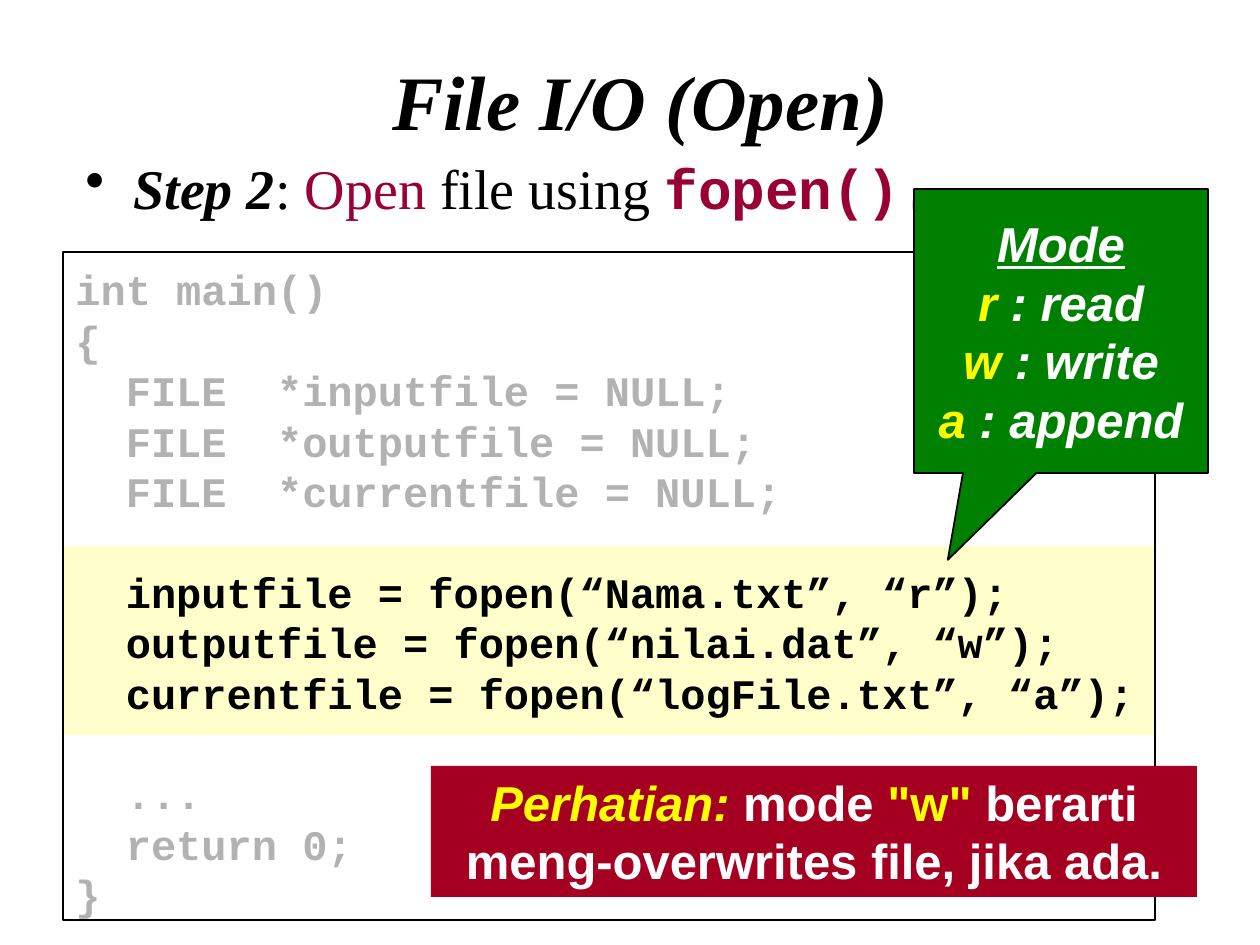
import pptx
import pptx.dml.color
import pptx.enum.shapes
import pptx.enum.text
import pptx.oxml
import pptx.util
import lxml.etree

PX = 914400 // 126
COLORS = {
    "black": "000000", "white": "FFFFFF", "gray": "B2B2B2", "cream": "FFFFCC",
    "wine": "990033", "green": "008000", "red": "A50021", "yellow": "FFFF00",
}
SHAPES = pptx.enum.shapes.MSO_SHAPE
ALIGN = pptx.enum.text.PP_ALIGN
ANCHOR = pptx.enum.text.MSO_ANCHOR

deck = pptx.Presentation()
deck.slide_width = pptx.util.Inches(10)
deck.slide_height = pptx.util.Inches(7.5)
page = deck.slides.add_slide(deck.slide_layouts[6])


def add_box(kind, left, top, width, height, fill=None, line=None, anchor=ANCHOR.TOP):
    box = page.shapes.add_shape(kind, left * PX, top * PX, width * PX, height * PX)
    box.shadow.inherit = False
    for paint, color in ((box.fill, fill), (box.line.fill, line)):
        if color:
            paint.solid()
            paint.fore_color.rgb = pptx.dml.color.RGBColor.from_string(COLORS[color])
        else:
            paint.background()
    if line:
        box.line.width = pptx.util.Pt(1)
    box.text_frame.word_wrap = True
    box.text_frame.vertical_anchor = anchor
    return box


def write_lines(frame, lines, size, font, align, bold=True, italic=False):
    """Write one paragraph per line; a span is (text, color, font overrides)."""
    for number, spans in enumerate(lines):
        para = frame.add_paragraph() if number else frame.paragraphs[0]
        para.alignment = align
        para.line_spacing = pptx.util.Pt(size * 1.2)
        for text, color, overrides in spans:
            span = para.add_run()
            span.text = text
            span.font.size = pptx.util.Pt(size)
            span.font.color.rgb = pptx.dml.color.RGBColor.from_string(COLORS[color])
            style = {"name": font, "bold": bold, "italic": italic, **overrides}
            for key, value in style.items():
                setattr(span.font, key, value)


# Highlight behind the fopen() calls
add_box(SHAPES.RECTANGLE, 63, 546, 1092, 189, fill="cream")

title = page.shapes.add_textbox(105 * PX, 21 * PX, 1071 * PX, 158 * PX)
title.text_frame.word_wrap = True
title.text_frame.vertical_anchor = ANCHOR.MIDDLE
write_lines(title.text_frame, [[("File I/O (Open)", "black", {})]],
            44, "Times New Roman", ALIGN.CENTER, italic=True)

step = page.shapes.add_textbox(73 * PX, 147 * PX, 1124 * PX, 84 * PX)
step.text_frame.word_wrap = True
properties = step.text_frame.paragraphs[0]._p.get_or_add_pPr()
properties.set("marL", str(48 * PX))
properties.set("indent", str(-48 * PX))
bullet = lxml.etree.SubElement(properties, pptx.oxml.ns.qn("a:buChar"))
bullet.set("char", "•")
code_style = {"name": "Courier New", "bold": True}
write_lines(step.text_frame, [[
    ("Step 2", "black", {"bold": True, "italic": True}),
    (": ", "black", {}),
    ("Open ", "wine", {}),
    ("file using ", "black", {}),
    ("fopen()", "wine", code_style),
    (".", "black", code_style),
]], 32, "Times New Roman", ALIGN.LEFT, bold=False)

code = """int main()
{
  FILE  *inputfile = NULL;
  FILE  *outputfile = NULL;
  FILE  *currentfile = NULL;

  inputfile = fopen(“Nama.txt”, “r”);
  outputfile = fopen(“nilai.dat”, “w”);
  currentfile = fopen(“logFile.txt”, “a”);

  ...
  return 0;
}"""
listing = add_box(SHAPES.RECTANGLE, 63, 252, 1092, 668, line="black")
listing.text_frame.margin_top = 12 * PX
code_lines = [
    [(line, "black" if "fopen" in line else "gray", {})] if line else []
    for line in code.split("\n")
]
write_lines(listing.text_frame, code_lines, 24, "Courier New", ALIGN.LEFT)

modes = add_box(SHAPES.RECTANGULAR_CALLOUT, 914, 189, 294, 284,
                fill="green", line="black", anchor=ANCHOR.MIDDLE)
modes.adjustments[0] = -0.385
modes.adjustments[1] = 0.806
modes.text_frame.word_wrap = False
mode_lines = [[("Mode", "white", {"underline": True})]]
for letter, meaning in (("r", "read"), ("w", "write"), ("a", "append")):
    mode_lines.append([(letter, "yellow", {}), (f" : {meaning}", "white", {})])
write_lines(modes.text_frame, mode_lines, 28, "Arial", ALIGN.CENTER, italic=True)

warning = add_box(SHAPES.RECTANGLE, 431, 766, 766, 131, fill="red")
write_lines(warning.text_frame, [[
    ("Perhatian:", "yellow", {"italic": True}),
    (" mode ", "white", {}),
    ('"w"', "yellow", {}),
    (" berarti meng-overwrites file, jika ada.", "white", {}),
]], 28, "Arial", ALIGN.CENTER)

deck.save("out.pptx")
